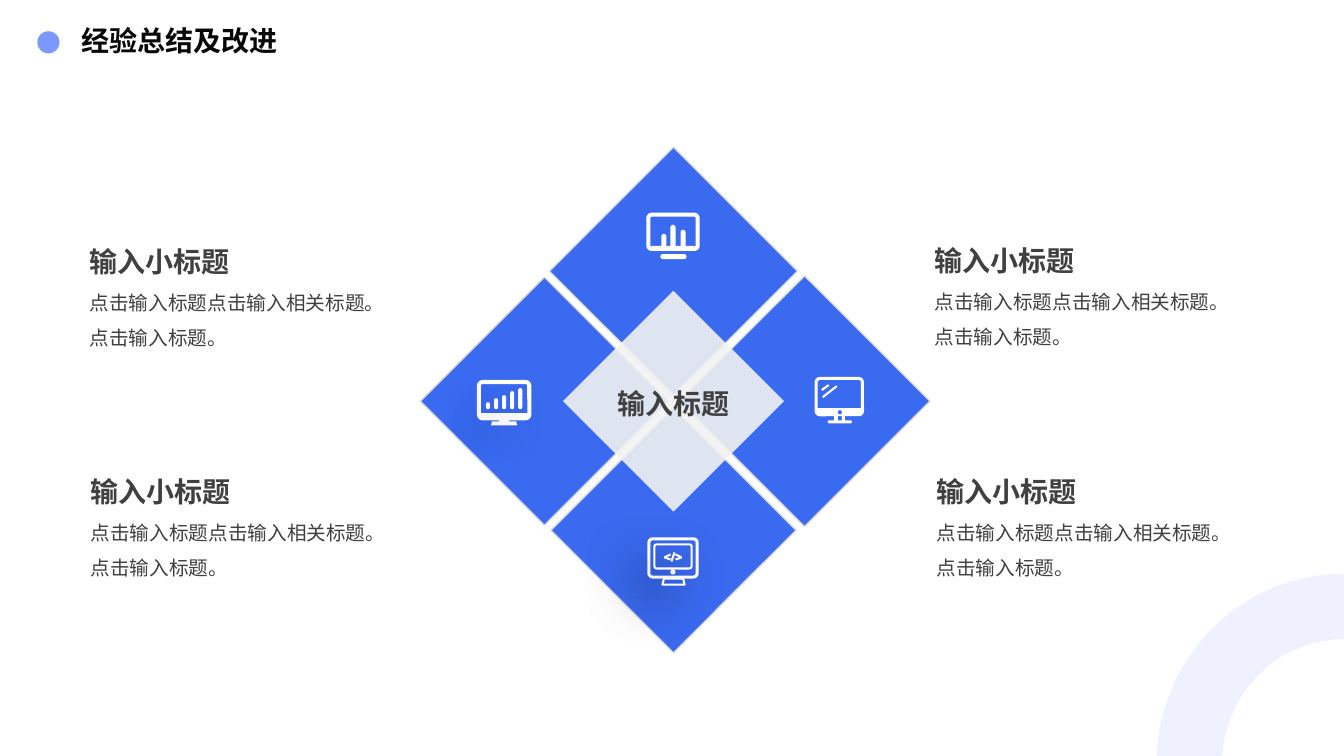
from math import cos, pi, sin

from lxml import etree
from pptx import Presentation
from pptx.dml.color import RGBColor
from pptx.enum.shapes import MSO_CONNECTOR, MSO_SHAPE
from pptx.enum.text import PP_ALIGN
from pptx.oxml.ns import qn
from pptx.util import Inches, Pt

RECTANGLE, OVAL = MSO_SHAPE.RECTANGLE, MSO_SHAPE.OVAL
ROUNDED, TRAPEZOID = MSO_SHAPE.ROUNDED_RECTANGLE, MSO_SHAPE.TRAPEZOID
STRAIGHT = MSO_CONNECTOR.STRAIGHT
LEFT, CENTER = PP_ALIGN.LEFT, PP_ALIGN.CENTER

FONT = "Noto Sans CJK SC"
WHITE = RGBColor(0xFF, 0xFF, 0xFF)
BLUE = RGBColor(0x3A, 0x6A, 0xEF)
DOT_BLUE = RGBColor(0x7B, 0x98, 0xFF)
RING_BLUE = RGBColor(0x97, 0xAD, 0xFC)
EDGE_GRAY = RGBColor(0xD9, 0xD9, 0xD9)
PALE_GRAY = RGBColor(0xF2, 0xF2, 0xF2)
TEXT_GRAY = RGBColor(0x40, 0x40, 0x40)
TITLE_BLACK = RGBColor(0x08, 0x08, 0x08)

TITLE = "经验总结及改进"
CENTER_LABEL = "输入标题"
HEADING = "输入小标题"
BODY = "点击输入标题点击输入相关标题。点击输入标题。"
CARDS = [(9.27, 2.42, 2.81), (9.29, 4.71, 2.81), (0.9, 4.71, 3.06), (0.89, 2.43, 3.06)]
DIAMONDS = [(6.68, 2.69, 1.74), (6.68, 5.26, 1.72), (5.4, 3.98, 1.74), (7.98, 3.98, 1.76)]
CENTER_DIAMOND = (6.68, 3.98, 1.55)

BAR_TOPS = [3.99, 3.95, 3.92, 3.88, 3.85]
ICONS = [
    {
        "frames": [(ROUNDED, 6.41, 2.11, 0.53, 0.38, 0.04)],
        "solids": [(RECTANGLE, 6.46, 2.44, 0.43, 0.03),
                   (ROUNDED, 6.56, 2.32, 0.05, 0.14),
                   (ROUNDED, 6.65, 2.23, 0.05, 0.23),
                   (ROUNDED, 6.75, 2.28, 0.05, 0.18),
                   (ROUNDED, 6.55, 2.52, 0.26, 0.05)],
    },
    {
        "shadow": True,
        "frames": [(ROUNDED, 6.42, 5.33, 0.51, 0.41, 0.03),
                   (ROUNDED, 6.48, 5.39, 0.39, 0.26, 0.02),
                   (OVAL, 6.65, 5.65, 0.05, 0.05, 0.02),
                   (TRAPEZOID, 6.56, 5.73, 0.24, 0.08, 0.02)],
        "strokes": [(6.65, 5.5, 6.59, 5.53), (6.59, 5.53, 6.65, 5.55),
                    (6.69, 5.48, 6.66, 5.57),
                    (6.7, 5.5, 6.76, 5.53), (6.76, 5.53, 6.7, 5.55)],
    },
    {
        "frames": [(ROUNDED, 4.73, 3.77, 0.54, 0.4, 0.04)],
        "solids": [(RECTANGLE, 4.76, 4.1, 0.48, 0.04),
                   (RECTANGLE, 4.95, 4.16, 0.1, 0.03),
                   (TRAPEZOID, 4.87, 4.18, 0.26, 0.04)],
    },
    {
        "shadow": True,
        "solids": [(OVAL, 5.15, 4.14, 0.01, 0.01), (ROUNDED, 5.16, 4.13, 0.06, 0.01)]
                  + [(ROUNDED, 4.82 + 0.08 * index, top, 0.04, 4.06 - top)
                     for index, top in enumerate(BAR_TOPS)],
    },
    {
        "frames": [(ROUNDED, 8.08, 3.74, 0.49, 0.39, 0.03)],
        "solids": [(RECTANGLE, 8.1, 4.05, 0.45, 0.07),
                   (RECTANGLE, 8.27, 4.12, 0.04, 0.06),
                   (RECTANGLE, 8.35, 4.12, 0.03, 0.06),
                   (ROUNDED, 8.21, 4.17, 0.24, 0.03)],
        "holes": [(OVAL, 8.31, 4.07, 0.04, 0.04)],
        "strokes": [(8.15, 3.87, 8.22, 3.82), (8.16, 3.94, 8.3, 3.83)],
    },
]


def set_alpha(shape, percent):
    color = shape.fill._xPr.find(qn("a:solidFill"))[0]
    etree.SubElement(color, qn("a:alpha"), val=str(percent * 1000))


def set_effects(shape, shadow):
    properties = shape._element.spPr
    effects = properties.find(qn("a:effectLst"))
    if effects is None:
        effects = etree.SubElement(properties, qn("a:effectLst"))
    if shadow:
        outer = etree.SubElement(effects, qn("a:outerShdw"), blurRad=str(Pt(35)),
                                 dist=str(Pt(20)), dir=str(135 * 60000),
                                 algn="tr", rotWithShape="0")
        color = etree.SubElement(outer, qn("a:srgbClr"), val="000000")
        etree.SubElement(color, qn("a:alpha"), val="50000")


def add_solid(shapes, kind, left, top, width, height, color):
    shape = shapes.add_shape(kind, Inches(left), Inches(top), Inches(width), Inches(height))
    shape.shadow.inherit = False
    shape.fill.solid()
    shape.fill.fore_color.rgb = color
    shape.line.fill.background()
    if kind == ROUNDED:
        shape.adjustments[0] = 0.5
    return shape


def add_frame(shapes, kind, left, top, width, height, thickness):
    frame = add_solid(shapes, kind, left + thickness / 2, top + thickness / 2,
                      width - thickness, height - thickness, WHITE)
    frame.fill.background()
    frame.line.color.rgb = WHITE
    frame.line.width = Inches(thickness)
    if kind == ROUNDED:
        frame.adjustments[0] = 0.1
    return frame


def add_stroke(shapes, *ends):
    stroke = shapes.add_connector(STRAIGHT, *[Inches(value) for value in ends])
    stroke.line.color.rgb = WHITE
    stroke.line.width = Pt(1.5)
    return stroke


def add_icon(slide, icon):
    shapes = slide.shapes.add_group_shape().shapes
    parts = [add_frame(shapes, *frame) for frame in icon.get("frames", [])]
    parts += [add_solid(shapes, *solid, WHITE) for solid in icon.get("solids", [])]
    parts += [add_solid(shapes, *hole, BLUE) for hole in icon.get("holes", [])]
    parts += [add_stroke(shapes, *stroke) for stroke in icon.get("strokes", [])]
    for part in parts:
        set_effects(part, icon.get("shadow", False))


def add_diamond(slide, center_x, center_y, side, color):
    diamond = add_solid(slide.shapes, RECTANGLE, center_x - side / 2,
                        center_y - side / 2, side, side, color)
    diamond.rotation = 315
    return diamond


def add_text(slide, text, left, top, width, height, size, color,
             bold=False, align=LEFT, spacing=None, inset=(0, 0)):
    box = slide.shapes.add_textbox(Inches(left), Inches(top), Inches(width), Inches(height))
    frame = box.text_frame
    frame.word_wrap = True
    frame.margin_left = frame.margin_right = Inches(inset[0])
    frame.margin_top = frame.margin_bottom = Inches(inset[1])
    paragraph = frame.paragraphs[0]
    paragraph.alignment = align
    if spacing:
        paragraph.line_spacing = spacing
    run = paragraph.add_run()
    run.text = text
    run.font.size = Pt(size)
    run.font.bold = bold
    run.font.color.rgb = color
    run.font.name = FONT
    etree.SubElement(run.font._element, qn("a:ea"), typeface=FONT)


def add_corner_ring(slide, right=13.33, bottom=7.58, outer=(1.86, 1.89), inner=(1.21, 1.24)):
    angles = [pi / 2 * step / 40 for step in range(41)]
    sweep = [(outer, angle) for angle in angles] + [(inner, angle) for angle in angles[::-1]]
    points = [(Inches(right - radius[0] * cos(angle)), Inches(bottom - radius[1] * sin(angle)))
              for radius, angle in sweep]
    builder = slide.shapes.build_freeform(*points[0], scale=1.0)
    builder.add_line_segments(points[1:], close=True)
    ring = builder.convert_to_shape()
    ring.shadow.inherit = False
    ring.fill.solid()
    ring.fill.fore_color.rgb = RING_BLUE
    ring.line.fill.background()
    set_alpha(ring, 15)


def main():
    presentation = Presentation()
    presentation.slide_width, presentation.slide_height = Inches(13.33), Inches(7.5)
    slide = presentation.slides.add_slide(presentation.slide_layouts[6])
    add_corner_ring(slide)
    add_solid(slide.shapes, OVAL, 0.37, 0.31, 0.22, 0.22, DOT_BLUE)
    add_text(slide, TITLE, 0.71, 0.31, 2.33, 0.33, 20, TITLE_BLACK, bold=True,
             spacing=Pt(15), inset=(0.1, 0.05))
    for diamond in DIAMONDS:
        tile = add_diamond(slide, *diamond, BLUE)
        tile.line.color.rgb = EDGE_GRAY
        tile.line.width = Pt(1)
    set_alpha(add_diamond(slide, *CENTER_DIAMOND, PALE_GRAY), 90)
    for left, top, width in CARDS:
        add_text(slide, BODY, left, top + 0.34, width, 0.5, 14, TEXT_GRAY, spacing=1.5)
        add_text(slide, HEADING, left, top, 2.35, 0.24, 20, TEXT_GRAY, bold=True)
    add_text(slide, CENTER_LABEL, 6.09, 3.83, 1.18, 0.51, 20, TEXT_GRAY, bold=True, align=CENTER)
    for icon in ICONS:
        add_icon(slide, icon)
    presentation.save("out.pptx")


if __name__ == "__main__":
    main()
